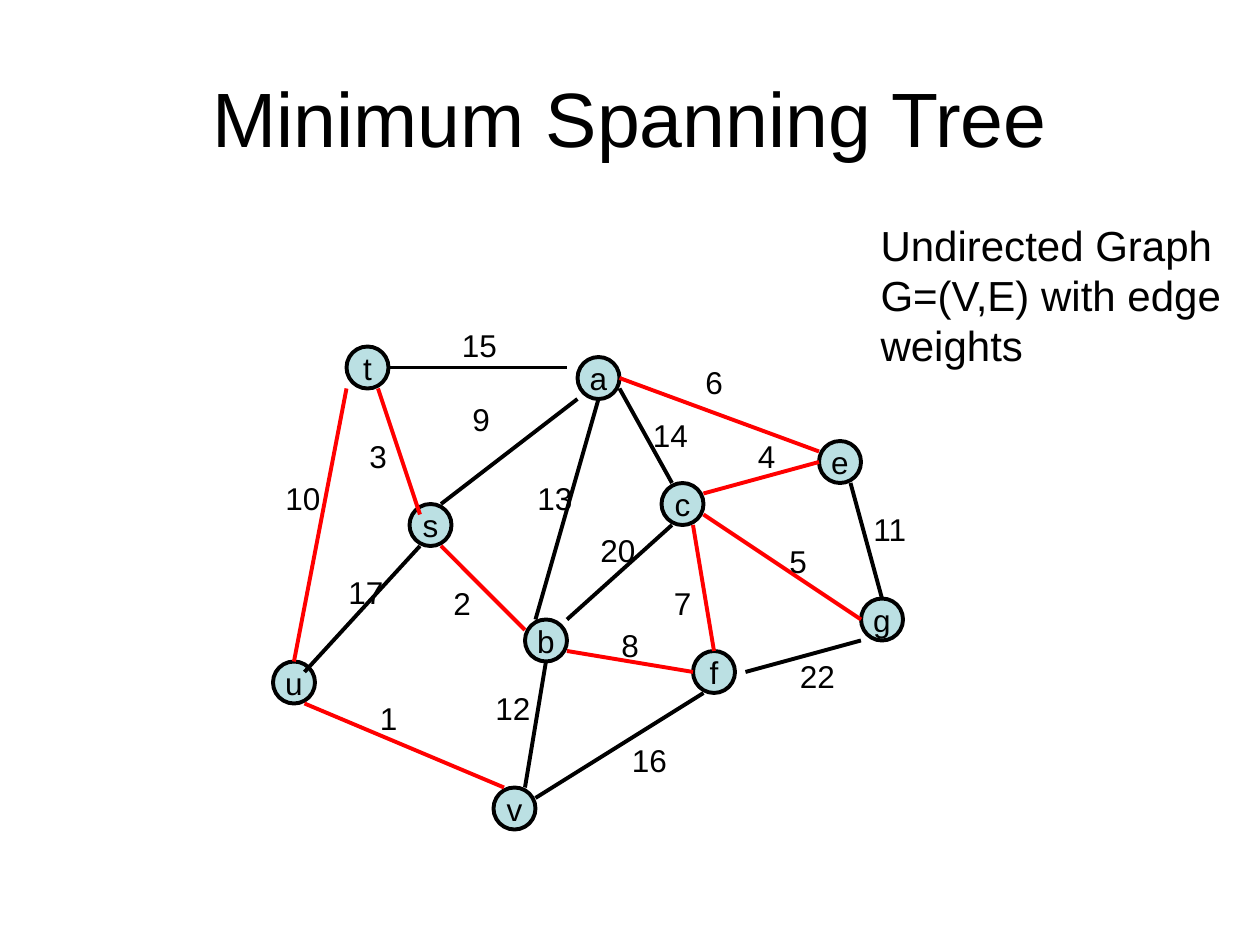
"""Build a slide showing a weighted graph and its minimum spanning tree."""
from lxml import etree
from pptx import Presentation, util as u
from pptx.dml.color import RGBColor
from pptx.enum import shapes, text
from pptx.oxml import ns

BLACK, RED, NODE_FILL = "000000", "FF0000", "BBE0E3"
CELL = u.Inches(1) / 12
NODE_CELLS = 4
LINE_WIDTH = u.Pt(2.25)


def color(hex_value):
    return RGBColor.from_string(hex_value)


def write(shape, words, size, align, anchor, wrap=False):
    frame = shape.text_frame
    frame.text = words
    frame_format = {"word_wrap": wrap, "vertical_anchor": anchor, "auto_size": text.MSO_AUTO_SIZE.NONE,
                    "margin_left": u.Inches(0.1), "margin_right": u.Inches(0.1),
                    "margin_top": u.Inches(0.05), "margin_bottom": u.Inches(0.05)}
    for name, value in frame_format.items():
        setattr(frame, name, value)
    paragraph = frame.paragraphs[0]
    paragraph.alignment = align
    for name, value in {"size": u.Pt(size), "name": "Arial"}.items():
        setattr(paragraph.font, name, value)
    paragraph.font.color.rgb = color(BLACK)


presentation = Presentation()
presentation.slide_width, presentation.slide_height = u.Inches(10), u.Inches(7.5)
slide = presentation.slides.add_slide(presentation.slide_layouts[5])
center, left = text.PP_ALIGN.CENTER, text.PP_ALIGN.LEFT
middle, top = text.MSO_ANCHOR.MIDDLE, text.MSO_ANCHOR.TOP

title = slide.shapes.title
title_place = {"left": 0.5, "top": 0.3, "width": 9, "height": 1.25}
for name, value in title_place.items():
    setattr(title, name, u.Inches(value))
write(title, "Minimum Spanning Tree", 44, center, middle, wrap=True)

nodes = {
    "a": (55, 34), "b": (50, 59), "c": (63, 46), "s": (39, 48), "e": (78, 42),
    "g": (82, 57), "f": (66, 62), "t": (33, 33), "u": (26, 63), "v": (47, 75),
}
for letter, (column, row) in nodes.items():
    node = slide.shapes.add_shape(
        shapes.MSO_SHAPE.OVAL, *(round(cells * CELL) for cells in (column, row, NODE_CELLS, NODE_CELLS)))
    node.shadow.inherit = False
    node.fill.solid()
    node.fill.fore_color.rgb = color(NODE_FILL)
    node.line.color.rgb = color(BLACK)
    node.line.width = LINE_WIDTH
    write(node, letter, 18, center, middle)

edges = {
    9: ((42, 48), (55, 38), (43.8, 37.5)),
    6: ((59, 36), (78, 43), (66, 34)),
    14: ((59, 37), (64, 46), (61, 39)),
    20: ((64, 50), (54, 59), (56, 50)),
    2: ((42, 52), (50, 60), (42, 55)),
    13: ((57, 38), (51, 59), (50, 45)),
    8: ((54, 62), (66, 64), (58, 59)),
    7: ((66, 50), (68, 62), (63, 55)),
    4: ((67, 47), (78, 44), (71, 41)),
    11: ((81, 46), (84, 57), (82, 48)),
    5: ((67, 49), (82, 59), (74, 51)),
    22: ((71, 64), (82, 61), (75, 62)),
    15: ((37, 35), (54, 35), (42.8, 30.5)),
    3: ((36, 37), (40, 49), (34, 41)),
    10: ((33, 37), (28, 63), (26, 45)),
    17: ((29, 64), (40, 52), (32, 54)),
    1: ((29, 67), (48, 75), (35, 66)),
    12: ((50, 75), (52, 63), (46, 65)),
    16: ((51, 76), (67, 66), (59, 70)),
}
tree_weights = {1, 2, 3, 4, 5, 6, 7, 8, 10}
for weight, (start, end, label_cell) in edges.items():
    edge = slide.shapes.add_connector(
        shapes.MSO_CONNECTOR.STRAIGHT, *(round(cells * CELL) for cells in start + end))
    edge.line.color.rgb = color(RED if weight in tree_weights else BLACK)
    edge.line.width = LINE_WIDTH
    etree.SubElement(edge._element.spPr, ns.qn("a:effectLst"))
    label_width = 0.34 if weight < 10 else 0.48
    label = slide.shapes.add_textbox(
        *(round(cells * CELL) for cells in label_cell), u.Inches(label_width), u.Inches(0.4))
    write(label, str(weight), 18, left, top)

note = slide.shapes.add_textbox(*(u.Inches(value) for value in (6.89, 1.69, 2.94, 1.3)))
write(note, "Undirected Graph G=(V,E) with edge weights", 24, left, top, wrap=True)

presentation.save("out.pptx")
